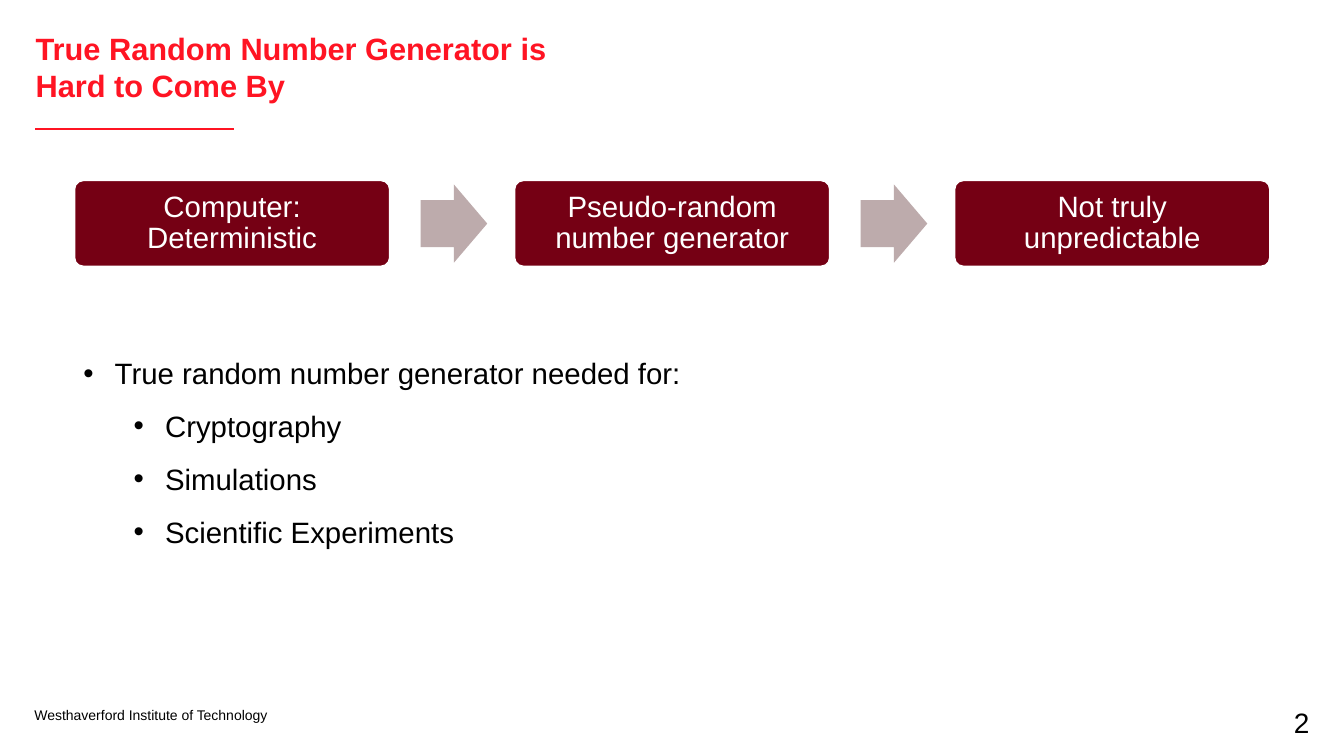
from dataclasses import dataclass

from lxml.etree import SubElement
from pptx import Presentation
from pptx.dml.color import RGBColor
from pptx.enum.shapes import MSO_CONNECTOR as Connector, MSO_SHAPE as Shape
from pptx.enum.text import MSO_ANCHOR as Anchor, PP_ALIGN as Align
from pptx.oxml.ns import qn
from pptx.util import Cm, Pt


@dataclass(frozen=True)
class Theme:
    font: str = "Arial"
    red: RGBColor = RGBColor(0xFF, 0x14, 0x23)
    maroon: RGBColor = RGBColor(0x75, 0x00, 0x14)
    arrow: RGBColor = RGBColor(0xBD, 0xAB, 0xAC)
    black: RGBColor = RGBColor(0, 0, 0)
    white: RGBColor = RGBColor(0xFF, 0xFF, 0xFF)
    title_size: int = 22
    body_size: int = 21
    number_size: int = 20
    footer_size: int = 10


THEME = Theme()

STEPS = (
    "Computer: Deterministic",
    "Pseudo-random number generator",
    "Not truly unpredictable",
)
STEP_LEFT, STEP_PITCH = 1.88, 11.09

BULLETS = (
    ("True random number generator needed for:", 0),
    ("Cryptography", 1),
    ("Simulations", 1),
    ("Scientific Experiments", 1),
)


def write(para, text, *, size=THEME.body_size, color=THEME.black, bold=False,
          align=Align.LEFT, spacing=1.0):
    para.alignment = align
    para.line_spacing = spacing
    span = para.add_run()
    span.text = text
    span.font.name = THEME.font
    span.font.size = Pt(size)
    span.font.bold = bold
    span.font.color.rgb = color


def set_margins(frame, side, top):
    frame.margin_left = frame.margin_right = Cm(side)
    frame.margin_top = frame.margin_bottom = Cm(top)


def add_frame(page, left, top, width, height, side=0):
    """Add a wrapping text box and return its text frame."""
    box = page.shapes.add_textbox(Cm(left), Cm(top), Cm(width), Cm(height))
    frame = box.text_frame
    frame.word_wrap = True
    set_margins(frame, side, 0.13)
    return frame


def add_label(page, text, left, top, width, height, **style):
    write(add_frame(page, left, top, width, height).paragraphs[0], text, **style)


def add_solid(page, kind, left, top, width, height, fill, adjustments):
    solid = page.shapes.add_shape(kind, Cm(left), Cm(top), Cm(width), Cm(height))
    solid.shadow.inherit = False
    solid.fill.solid()
    solid.fill.fore_color.rgb = fill
    solid.line.fill.background()
    for index, value in enumerate(adjustments):
        solid.adjustments[index] = value
    return solid


def add_step(page, text, left):
    step = add_solid(page, Shape.ROUNDED_RECTANGLE, left, 4.55, 7.94, 2.16,
                     THEME.maroon, [0.1])
    step.line.color.rgb = THEME.white
    step.line.width = Pt(1)
    frame = step.text_frame
    frame.word_wrap = True
    frame.vertical_anchor = Anchor.MIDDLE
    set_margins(frame, 0.29, 0.29)
    write(frame.paragraphs[0], text, color=THEME.white,
          align=Align.CENTER, spacing=0.9)


def add_process(page):
    for index, text in enumerate(STEPS):
        left = STEP_LEFT + index * STEP_PITCH
        if index:
            add_solid(page, Shape.RIGHT_ARROW, left - 2.37, 4.65, 1.68, 1.97,
                      THEME.arrow, [0.6, 0.5])
        add_step(page, text, left)


def set_bullet(para, level):
    para.level = level
    properties = para._p.get_or_add_pPr()
    properties.set("marL", str(Cm(0.79 + 1.27 * level)))
    properties.set("indent", str(Cm(-0.79)))
    SubElement(properties, qn("a:buFont")).set("typeface", THEME.font)
    SubElement(properties, qn("a:buChar")).set("char", "•")


def add_bullets(page):
    frame = add_frame(page, 1.85, 8.38, 30.15, 5.49, side=0.25)
    for index, (text, level) in enumerate(BULLETS):
        para = frame.add_paragraph() if index else frame.paragraphs[0]
        write(para, text, spacing=1.5)
        set_bullet(para, level)


def add_rule(page, left, right, top):
    rule = page.shapes.add_connector(
        Connector.STRAIGHT, Cm(left), Cm(top), Cm(right), Cm(top))
    rule.line.color.rgb = THEME.red
    rule.line.width = Pt(1)
    SubElement(rule._element.spPr, qn("a:effectLst"))


def main():
    deck = Presentation()
    deck.slide_width, deck.slide_height = Cm(33.87), Cm(19.05)
    page = deck.slides.add_slide(deck.slide_layouts[6])

    add_label(page, "True Random Number Generator is Hard to Come By",
              0.9, 0.61, 14.22, 2.26,
              size=THEME.title_size, color=THEME.red, bold=True)
    add_rule(page, 0.89, 5.9, 3.25)
    add_process(page)
    add_bullets(page)
    add_label(page, "Westhaverford Institute of Technology",
              0.87, 17.68, 7.37, 0.71, size=THEME.footer_size)
    add_label(page, "2", 25.63, 17.65, 7.37, 1.12,
              size=THEME.number_size, align=Align.RIGHT)

    deck.save("out.pptx")


if __name__ == "__main__":
    main()
